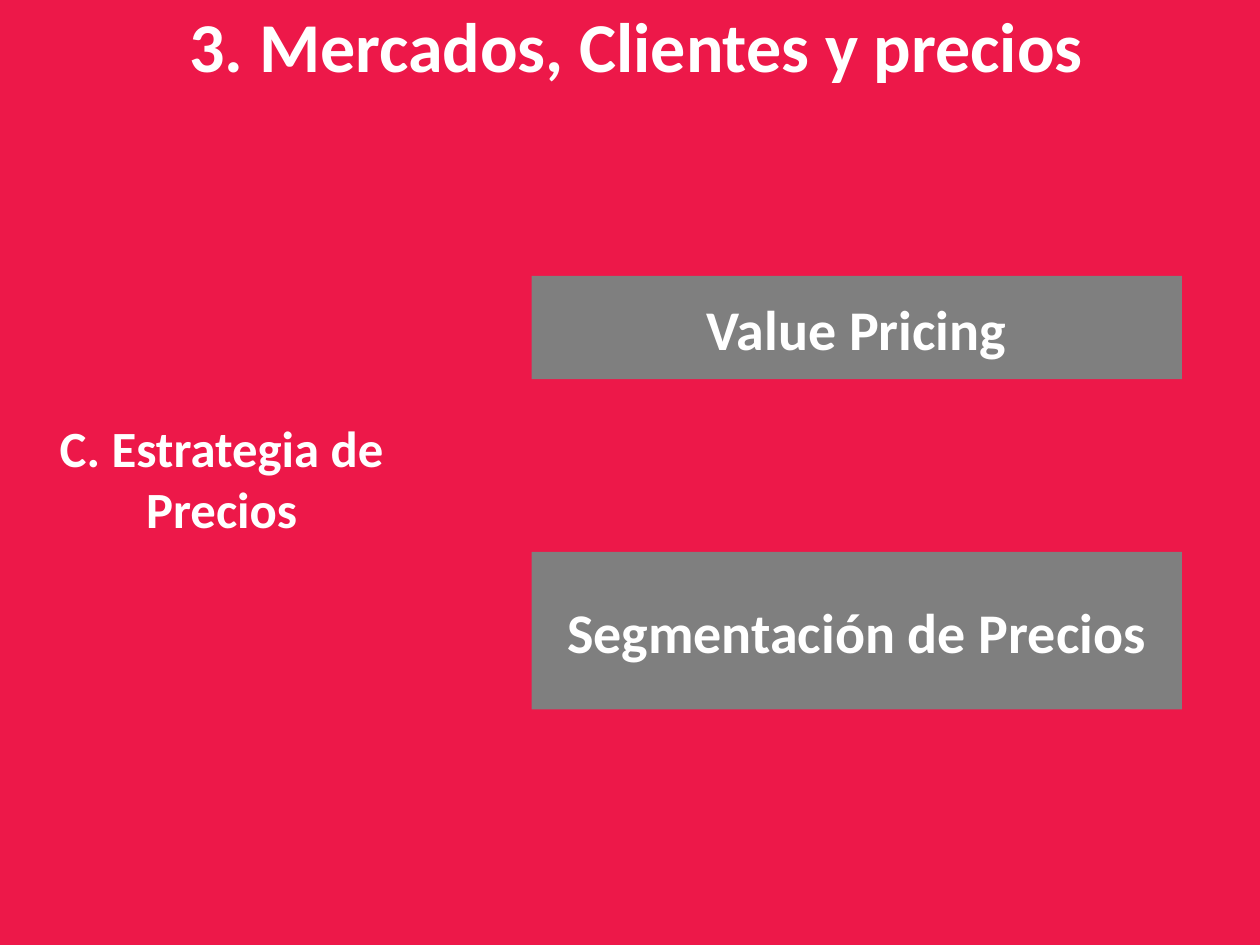
from pptx import Presentation
from pptx.dml.color import RGBColor
from pptx.enum.shapes import MSO_SHAPE
from pptx.enum.text import MSO_ANCHOR, PP_ALIGN
from pptx.util import Inches, Pt

RECTANGLE = MSO_SHAPE.RECTANGLE
MIDDLE = MSO_ANCHOR.MIDDLE
CENTER = PP_ALIGN.CENTER

TITLE = "3. Mercados, Clientes y precios"
TOPIC = "C. Estrategia de Precios"
# text, top, height
STRATEGIES = [
    ("Value Pricing", 2.19, 0.82),
    ("Segmentación de Precios", 4.38, 1.25),
]
STRATEGY_LEFT, STRATEGY_WIDTH = 4.22, 5.16

THEME = {
    "font": "Calibri",
    "background": RGBColor(0xED, 0x18, 0x49),
    "box": RGBColor(0x7F, 0x7F, 0x7F),
    "text": RGBColor(0xFF, 0xFF, 0xFF),
    "title_size": Pt(40),
    "topic_size": Pt(29),
    "strategy_size": Pt(32),
}


def write_text(shape, text, size):
    """Put one bold, centred paragraph into the shape."""
    frame = shape.text_frame
    frame.word_wrap = True
    frame.vertical_anchor = MIDDLE
    paragraph = frame.paragraphs[0]
    paragraph.alignment = CENTER
    run = paragraph.add_run()
    run.text = text
    run.font.name = THEME["font"]
    run.font.size = size
    run.font.bold = True
    run.font.color.rgb = THEME["text"]


def add_strategy_box(slide, text, top, height):
    box = slide.shapes.add_shape(
        RECTANGLE, Inches(STRATEGY_LEFT), Inches(top),
        Inches(STRATEGY_WIDTH), Inches(height))
    box.shadow.inherit = False
    box.fill.solid()
    box.fill.fore_color.rgb = THEME["box"]
    box.line.fill.background()
    write_text(box, text, THEME["strategy_size"])


def main():
    presentation = Presentation()
    presentation.slide_width = Inches(10)
    presentation.slide_height = Inches(7.5)
    slide = presentation.slides.add_slide(
        presentation.slide_layouts.get_by_name("Title Only"))
    slide.background.fill.solid()
    slide.background.fill.fore_color.rgb = THEME["background"]

    title = slide.shapes.title
    title.left, title.top = Inches(0.55), Inches(0)
    title.width, title.height = Inches(9), Inches(0.7)
    write_text(title, TITLE, THEME["title_size"])

    topic = slide.shapes.add_textbox(
        Inches(0), Inches(2.97), Inches(3.52), Inches(1.64))
    write_text(topic, TOPIC, THEME["topic_size"])

    for text, top, height in STRATEGIES:
        add_strategy_box(slide, text, top, height)

    presentation.save("out.pptx")


if __name__ == "__main__":
    main()
